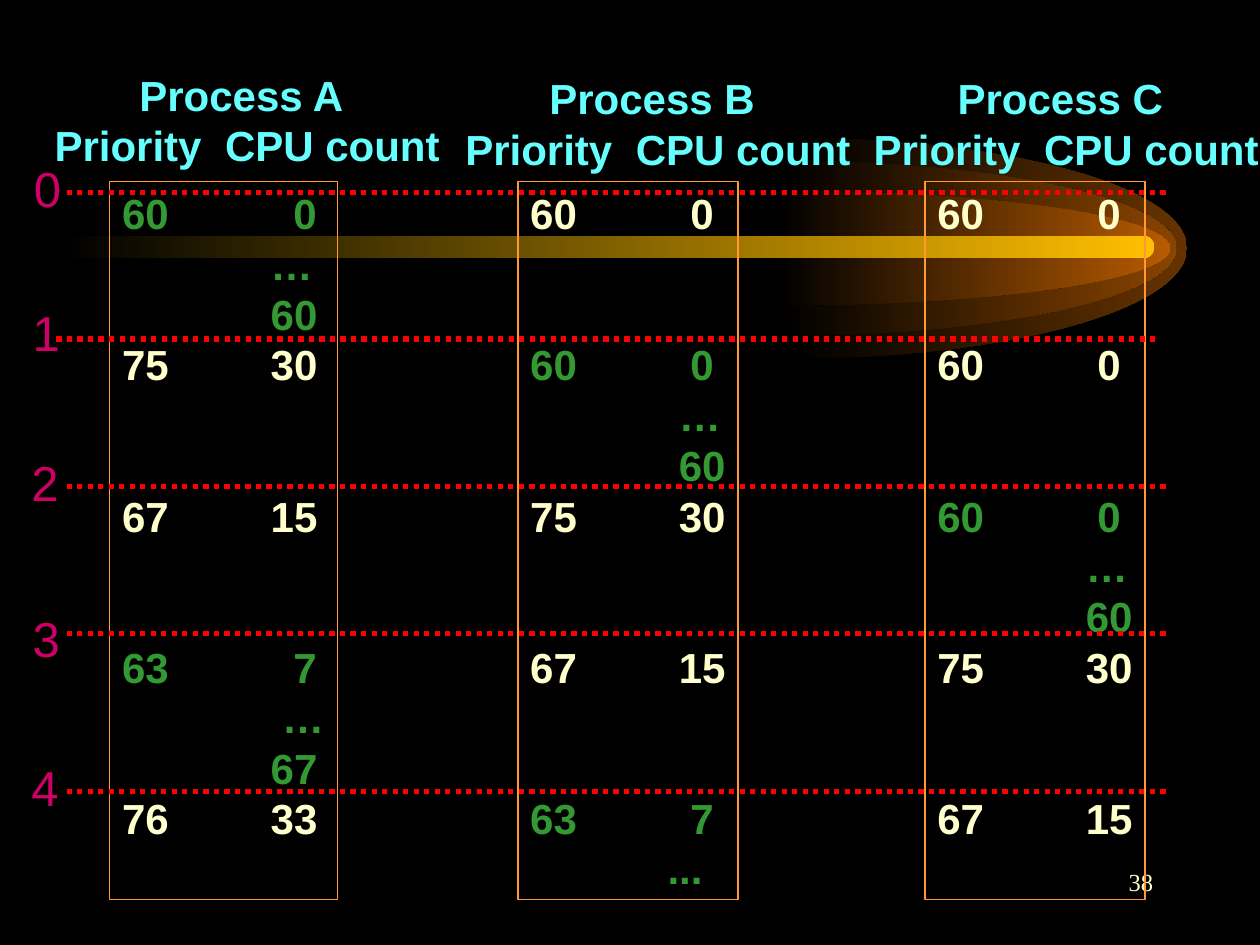
from lxml.etree import SubElement
from pptx import Presentation
from pptx.dml.color import RGBColor as RGB
from pptx.enum.dml import MSO_LINE as Dash
from pptx.enum.shapes import MSO_CONNECTOR as Conn, MSO_SHAPE as Shape
from pptx.enum.text import MSO_ANCHOR as Anchor, PP_ALIGN as Align
from pptx.oxml.ns import qn
from pptx.util import Inches, Pt

COLORS = {
    "background": "000000", "header": "66FFFF", "frame": "FF9933",
    "running": "339933", "waiting": "FFFFCC", "tick": "FF0000",
    "second": "CC0066", "beam": "FFBF00",
    "outer": "663300", "middle": "894400", "inner": "B75B00",
}
SPACE = 0.09       # width of a 24 pt space, inches
ROWS_PER_TICK = 3
ARC = 0.55         # control point distance for a quarter ellipse

# Each tick: state, priority, then (CPU count, spaces after the tab) per row
PROCESSES = [
    ("A", 0.24, 0.50, 0.87, 1.81, [
        ("running", "60", [("0", 4), ("…", 2), ("60", 2)]),
        ("waiting", "75", [("30", 2)]),
        ("waiting", "67", [("15", 2)]),
        ("running", "63", [("7", 4), ("…", 3), ("67", 2)]),
        ("waiting", "76", [("33", 2)])]),
    ("B", 3.50, 0.53, 4.11, 1.75, [
        ("waiting", "60", [("0", 3)]),
        ("running", "60", [("0", 3), ("…", 2), ("60", 2)]),
        ("waiting", "75", [("30", 2)]),
        ("waiting", "67", [("15", 2)]),
        ("running", "63", [("7", 3), ("...", 1)])]),
    ("C", 6.74, 0.53, 7.34, 1.75, [
        ("waiting", "60", [("0", 3)]),
        ("waiting", "60", [("0", 3)]),
        ("running", "60", [("0", 3), ("…", 2), ("60", 2)]),
        ("waiting", "75", [("30", 2)]),
        ("waiting", "67", [("15", 2)])]),
]
# Label left and top, then line left and height
TICKS = [(0.17, 1.21, 0.5, 1.53), (0.16, 2.35, 0.42, 2.69),
         (0.15, 3.54, 0.5, 3.86), (0.16, 4.78, 0.5, 5.03),
         (0.15, 5.96, 0.5, 6.28)]
# Left edge, height and colour of each half ellipse
GLOWS = [(6.29, 1.75, "outer"), (6.21, 1.39, "middle"), (6.16, 0.91, "inner")]


class Deck:
    def __init__(self):
        self.prs = Presentation()
        self.prs.slide_width, self.prs.slide_height = Inches(10), Inches(7.5)
        self.s = self.prs.slides.add_slide(self.prs.slide_layouts[6])
        fill = self.s.background.fill
        fill.solid()
        fill.fore_color.rgb = self.color("background")

    @staticmethod
    def color(name):
        return RGB.from_string(COLORS[name])

    def fade(self, sp, color):
        """Fill a shape from the background colour to another, left to right."""
        sp.shadow.inherit = False
        sp.line.fill.background()
        sp.fill.gradient()
        sp.fill.gradient_angle = 0
        for stop, name in zip(sp.fill.gradient_stops, ("background", color)):
            stop.color.rgb = self.color(name)

    def glow(self, x, y, width, height, color):
        """Draw the right half of an ellipse centred at x, y."""
        units = [(0, -1), (ARC, -1), (1, -ARC), (1, 0), (1, ARC), (ARC, 1), (0, 1)]
        points = [(Inches(x + u * width), Inches(y + v * height / 2))
                  for u, v in units]
        builder = self.s.shapes.build_freeform(*points[0])
        builder.add_line_segments(points[1:], close=True)
        sp = builder.convert_to_shape()
        self.curve(sp)
        self.fade(sp, color)

    @staticmethod
    def curve(sp):
        """Turn every three straight segments into one Bézier curve."""
        segments = list(sp._element.iter(qn("a:lnTo")))
        for i in range(0, len(segments), 3):
            outline = segments[i].getparent()
            bezier = SubElement(outline, qn("a:cubicBezTo"))
            outline.replace(segments[i], bezier)
            for segment in segments[i:i + 3]:
                bezier.append(segment[0])
            for segment in segments[i + 1:i + 3]:
                outline.remove(segment)

    def beam(self, x, y, w, h):
        sp = self.s.shapes.add_shape(
            Shape.ROUNDED_RECTANGLE, Inches(x), Inches(y), Inches(w), Inches(h))
        sp.adjustments[0] = 0.5
        self.fade(sp, "beam")

    def tick_line(self, left, y, width=8.75):
        line = self.s.shapes.add_connector(
            Conn.STRAIGHT, Inches(left + width), Inches(y), Inches(left), Inches(y))
        line.line.color.rgb = self.color("tick")
        line.line.width = Pt(3)
        line.line.dash_style = Dash.ROUND_DOT
        SubElement(line._element.spPr, qn("a:effectLst"))

    def text_frame(self, sp):
        tf = sp.text_frame
        tf.word_wrap = False
        tf.vertical_anchor = Anchor.TOP
        tf.margin_top = Inches(0.05)
        return tf

    def text_box(self, x, y, w, h):
        return self.text_frame(self.s.shapes.add_textbox(
            Inches(x), Inches(y), Inches(w), Inches(h)))

    def paragraph(self, tf, runs, size, color, align=Align.LEFT, bold=False,
                  font="Arial", blank_rows=0, tab=None):
        first = tf.paragraphs[0]
        p = tf.add_paragraph() if first.runs else first
        p.alignment = align
        row = 1.2 * size
        p.line_spacing = Pt(row)
        p.space_before = Pt(row * blank_rows)
        if tab:
            tabs = SubElement(p._p.get_or_add_pPr(), qn("a:tabLst"))
            SubElement(tabs, qn("a:tab"), pos=str(Inches(tab)), algn="l")
        for text in runs:
            r = p.add_run()
            r.text = text
            r.font.name, r.font.size, r.font.bold = font, Pt(size), bold
            r.font.color.rgb = self.color(color)
        return p

    def header(self, name, x, y):
        tf = self.text_box(x, y, 3.35, 0.9)
        style = dict(size=24, color="header", align=Align.CENTER, bold=True)
        self.paragraph(tf, [f"Process {name}"], **style)
        p = self.paragraph(tf, [" Priority", " ", "CPU count"], **style)
        p.runs[1]._r.get_or_add_rPr().set("spc", "667")  # doubles the gap

    def process_column(self, x, width, ticks):
        sp = self.s.shapes.add_shape(
            Shape.RECTANGLE, Inches(x), Inches(1.44), Inches(width), Inches(5.7))
        sp.shadow.inherit = False
        sp.fill.background()
        sp.line.color.rgb = self.color("frame")
        sp.line.width = Pt(1)
        tf = self.text_frame(sp)
        blank_rows = 0
        for state, priority, counts in ticks:
            for i, (count, spaces) in enumerate(counts):
                runs = [f"\t{count}"] if i else [priority, f"\t{count}"]
                self.paragraph(tf, runs, 24, state, bold=True,
                               blank_rows=0 if i else blank_rows,
                               tab=1 + spaces * SPACE)
            blank_rows = ROWS_PER_TICK - len(counts)


def main():
    deck = Deck()
    for left, height, color in GLOWS:
        deck.glow(left, 1.97, 3.13, height, color)
    deck.beam(0.5, 1.87, 8.66, 0.18)

    number = deck.text_box(7.17, 6.83, 2.08, 0.5)
    number.word_wrap = True
    deck.paragraph(number, ["38"], 14, "waiting", Align.RIGHT,
                   font="Times New Roman")

    for name, header_x, header_y, x, width, ticks in PROCESSES:
        deck.header(name, header_x, header_y)
        deck.process_column(x, width, ticks)

    for second, (x, y, line_x, line_y) in enumerate(TICKS):
        deck.tick_line(line_x, line_y)
        deck.paragraph(deck.text_box(x, y, 0.41, 0.57), [str(second)], 28, "second")

    deck.prs.save("out.pptx")


if __name__ == "__main__":
    main()
